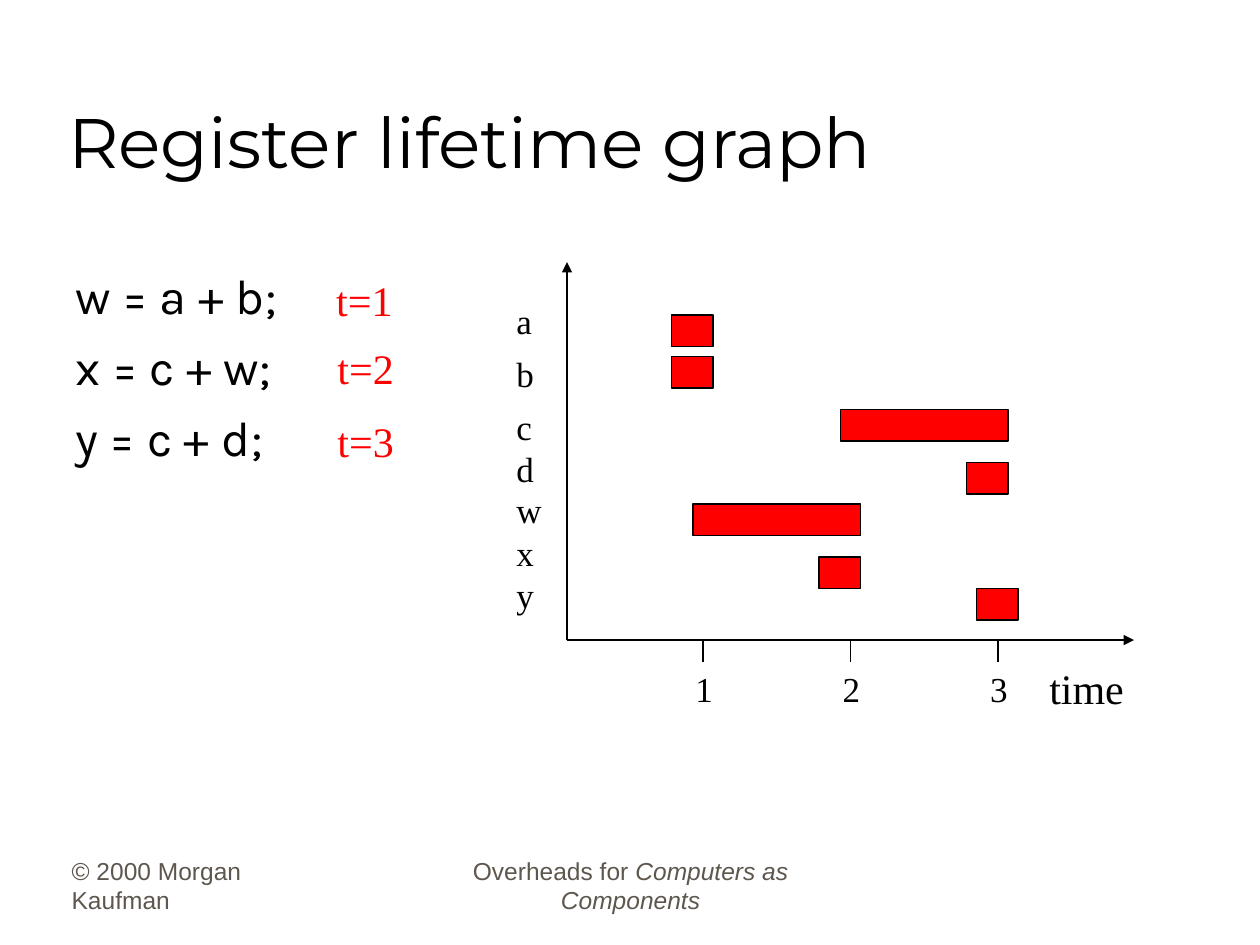
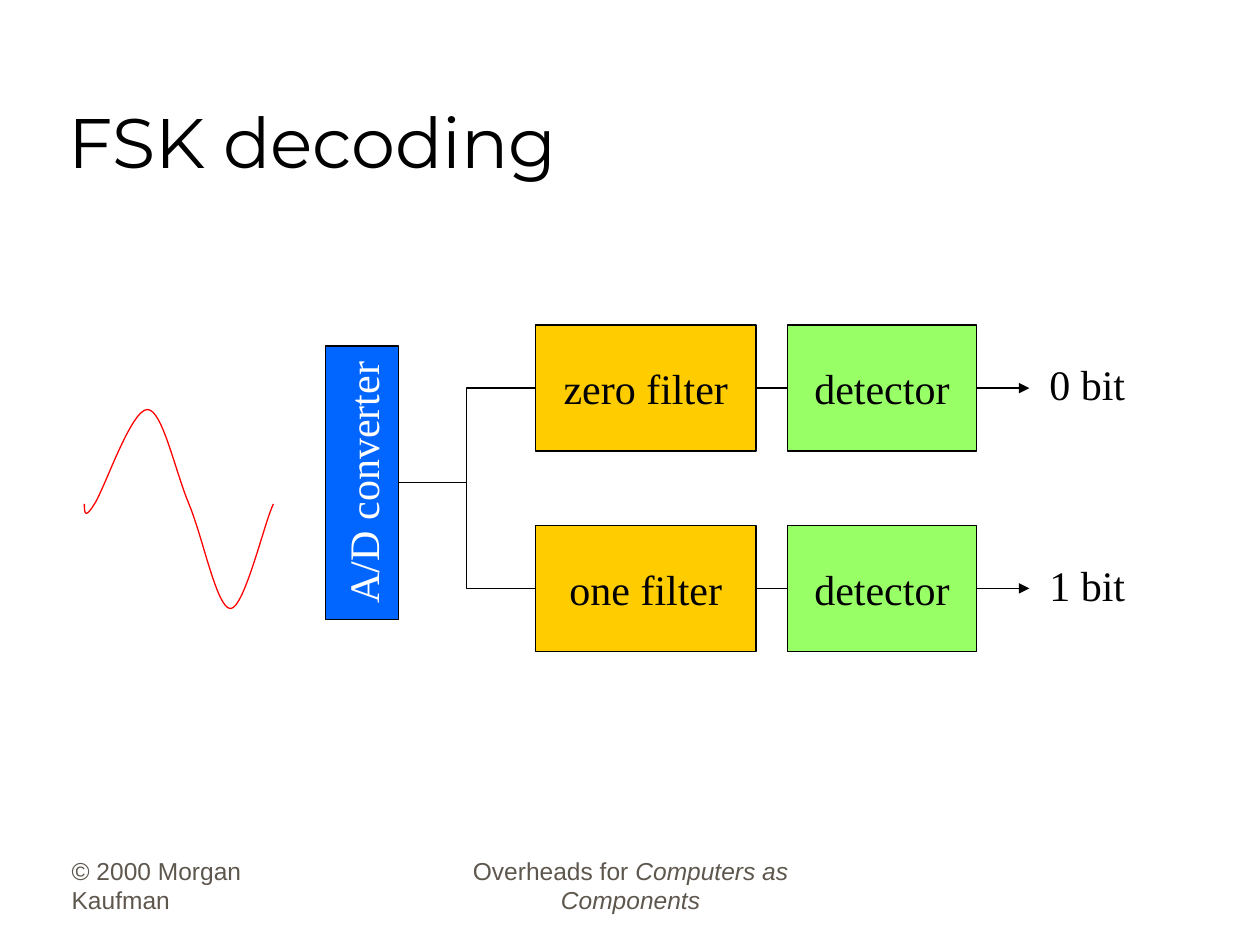
from lxml.etree import SubElement
from pptx import Presentation
from pptx.dml.color import RGBColor
from pptx.enum.shapes import MSO_CONNECTOR, MSO_SHAPE
from pptx.enum.text import MSO_ANCHOR, MSO_AUTO_SIZE, PP_ALIGN
from pptx.oxml.ns import qn
from pptx.util import Inches, Pt

BLACK = RGBColor(0x00, 0x00, 0x00)
WHITE = RGBColor(0xFF, 0xFF, 0xFF)
RED = RGBColor(0xFF, 0x00, 0x00)
BLUE = RGBColor(0x00, 0x66, 0xFF)
AMBER = RGBColor(0xFF, 0xCC, 0x00)
GREEN = RGBColor(0x99, 0xFF, 0x66)
GREY = RGBColor(0x5E, 0x57, 0x4E)


class Deck:
    title_font = {"name": "Montserrat", "size": Pt(40)}
    code_font = {"name": "Karla", "size": Pt(28)}
    label_font = {"name": "Times New Roman", "size": Pt(24)}
    tick_font = {"name": "Times New Roman", "size": Pt(20)}
    footer_font = {"name": "Arial", "size": Pt(14)}

    def __init__(self):
        self.prs = Presentation()
        self.prs.slide_width = Inches(10)
        self.prs.slide_height = Inches(7.5)
        self.s = None

    def format(self, font, style, color):
        for name, value in style.items():
            setattr(font, name, value)
        font.color.rgb = color

    def slide(self, title):
        self.s = self.prs.slides.add_slide(self.prs.slide_layouts[5])
        sp = self.s.shapes.title
        sp.left, sp.top, sp.width, sp.height = map(Inches, (0.44, 0.25, 8.5, 1.25))
        tf = sp.text_frame
        tf.text = title
        tf.vertical_anchor = MSO_ANCHOR.BOTTOM
        tf.auto_size = MSO_AUTO_SIZE.NONE
        p = tf.paragraphs[0]
        p.alignment = PP_ALIGN.LEFT
        self.format(p.font, self.title_font, BLACK)
        self.footer(0.47, 2.08, ["© 2000 Morgan Kaufman"], PP_ALIGN.LEFT)
        self.footer(3.42, 3.17, ["Overheads for ", "Computers as Components"], PP_ALIGN.CENTER)

    def footer(self, x, w, parts, align):
        tf = self.text(x, 6.81, w, 0.5, [""], self.footer_font, GREY)
        tf.vertical_anchor = MSO_ANCHOR.BOTTOM
        p = tf.paragraphs[0]
        p.alignment = align
        for i, part in enumerate(parts):
            r = p.add_run()
            r.text = part
            self.format(r.font, self.footer_font, GREY)
            r.font.italic = i > 0

    def text(self, x, y, w, h, lines, style, color=BLACK):
        tf = self.s.shapes.add_textbox(*map(Inches, (x, y, w, h))).text_frame
        tf.word_wrap = True
        tf.auto_size = MSO_AUTO_SIZE.NONE
        for i, line in enumerate(lines):
            p = tf.add_paragraph() if i else tf.paragraphs[0]
            p.text = line
            if i:
                p.space_before = Pt(7)
            self.format(p.font, style, color)
        return tf

    def box(self, x, y, w, h, fill, text="", color=BLACK, rotation=0):
        sp = self.s.shapes.add_shape(MSO_SHAPE.RECTANGLE, *map(Inches, (x, y, w, h)))
        sp.shadow.inherit = False
        sp.fill.solid()
        sp.fill.fore_color.rgb = fill
        sp.line.color.rgb = BLACK
        sp.line.width = Pt(0.75)
        sp.rotation = rotation
        if text:
            tf = sp.text_frame
            tf.word_wrap = False
            tf.vertical_anchor = MSO_ANCHOR.MIDDLE
            p = tf.paragraphs[0]
            p.text = text
            p.alignment = PP_ALIGN.CENTER
            self.format(p.font, self.label_font, color)

    def line(self, x1, y1, x2, y2, arrow=False, kind=MSO_CONNECTOR.STRAIGHT):
        sp = self.s.shapes.add_connector(kind, *map(Inches, (x1, y1, x2, y2)))
        sp.line.color.rgb = BLACK
        sp.line.width = Pt(0.75)
        if arrow:
            ln = sp._element.spPr.find(qn("a:ln"))
            SubElement(ln, qn("a:tailEnd"), type="triangle")
        SubElement(sp._element.spPr, qn("a:effectLst"))

    def curve(self, start, segments, color, steps=16):
        points = [start]
        for a, b, end in segments:
            begin = points[-1]
            for i in range(1, steps + 1):
                t = i / steps
                u = 1 - t
                points.append(tuple(
                    u**3 * p0 + 3 * u * u * t * p1 + 3 * u * t * t * p2 + t**3 * p3
                    for p0, p1, p2, p3 in zip(begin, a, b, end)))
        pts = [(Inches(x), Inches(y)) for x, y in points]
        fb = self.s.shapes.build_freeform(*pts[0])
        fb.add_line_segments(pts[1:], close=False)
        sp = fb.convert_to_shape()
        sp.shadow.inherit = False
        sp.fill.background()
        sp.line.color.rgb = color
        sp.line.width = Pt(0.75)


def register_lifetimes(deck):
    deck.slide("Register lifetime graph")
    deck.text(0.5, 2.06, 4.39, 4.56, ["w = a + b;", "x = c + w;", "y = c + d;"],
              deck.code_font)
    for t, (x, y) in enumerate([(2.57, 2.13), (2.58, 2.67), (2.58, 3.25)], 1):
        deck.text(x, y, 0.75, 0.5, [f"t={t}"], deck.label_font, RED)

    left, base = 4.5, 5.08
    deck.line(left, base, 9, base, arrow=True)
    deck.line(left, base, left, 2.08, arrow=True)
    deck.text(8.23, 5.21, 0.9, 0.5, ["time"], deck.label_font)
    for t in (1, 2, 3):
        x = 5.58 + (t - 1) * 1.17
        deck.line(x, base, x, 5.25)
        deck.text(x - 0.16, 5.25, 0.36, 0.44, [str(t)], deck.tick_font)

    short, long = 0.33, 1.33
    lifetimes = [
        ("a", 2.33, 5.33, 2.5, short),
        ("b", 2.75, 5.33, 2.83, short),
        ("c", 3.17, 6.67, 3.25, long),
        ("d", 3.5, 7.67, 3.67, short),
        ("w", 3.83, 5.5, 4, long),
        ("x", 4.17, 6.5, 4.42, short),
        ("y", 4.5, 7.75, 4.67, short),
    ]
    for name, name_y, x, y, w in lifetimes:
        deck.text(4, name_y, 0.42, 0.44, [name], deck.tick_font)
        deck.box(x, y, w, 0.25, RED)


def fsk_decoding(deck):
    deck.slide("FSK decoding")
    deck.curve((0.67, 4), [
        ((0.67, 4.06), (0.67, 4.13), (0.75, 4)),
        ((0.83, 3.88), (1.04, 3.25), (1.17, 3.25)),
        ((1.29, 3.25), (1.39, 3.74), (1.5, 4)),
        ((1.61, 4.26), (1.72, 4.83), (1.83, 4.83)),
        ((1.94, 4.83), (2.1, 4.14), (2.17, 4)),
    ], RED)
    deck.box(1.79, 3.54, 2.17, 0.58, BLUE, "A/D converter", WHITE, rotation=270)
    for bit, (name, top) in enumerate([("zero", 2.58), ("one", 4.17)]):
        mid = top + 0.5
        deck.box(4.25, top, 1.75, 1, AMBER, f"{name} filter")
        deck.box(6.25, top, 1.5, 1, GREEN, "detector")
        deck.line(3.16, 3.83, 4.25, mid, kind=MSO_CONNECTOR.ELBOW)
        deck.line(6.25, mid, 6, mid)
        deck.line(7.75, mid, 8.17, mid, arrow=True)
        deck.text(8.23, mid - 0.28, 0.9, 0.5, [f"{bit} bit"], deck.label_font)


def main():
    deck = Deck()
    register_lifetimes(deck)
    fsk_decoding(deck)
    deck.prs.save("out.pptx")


if __name__ == "__main__":
    main()
